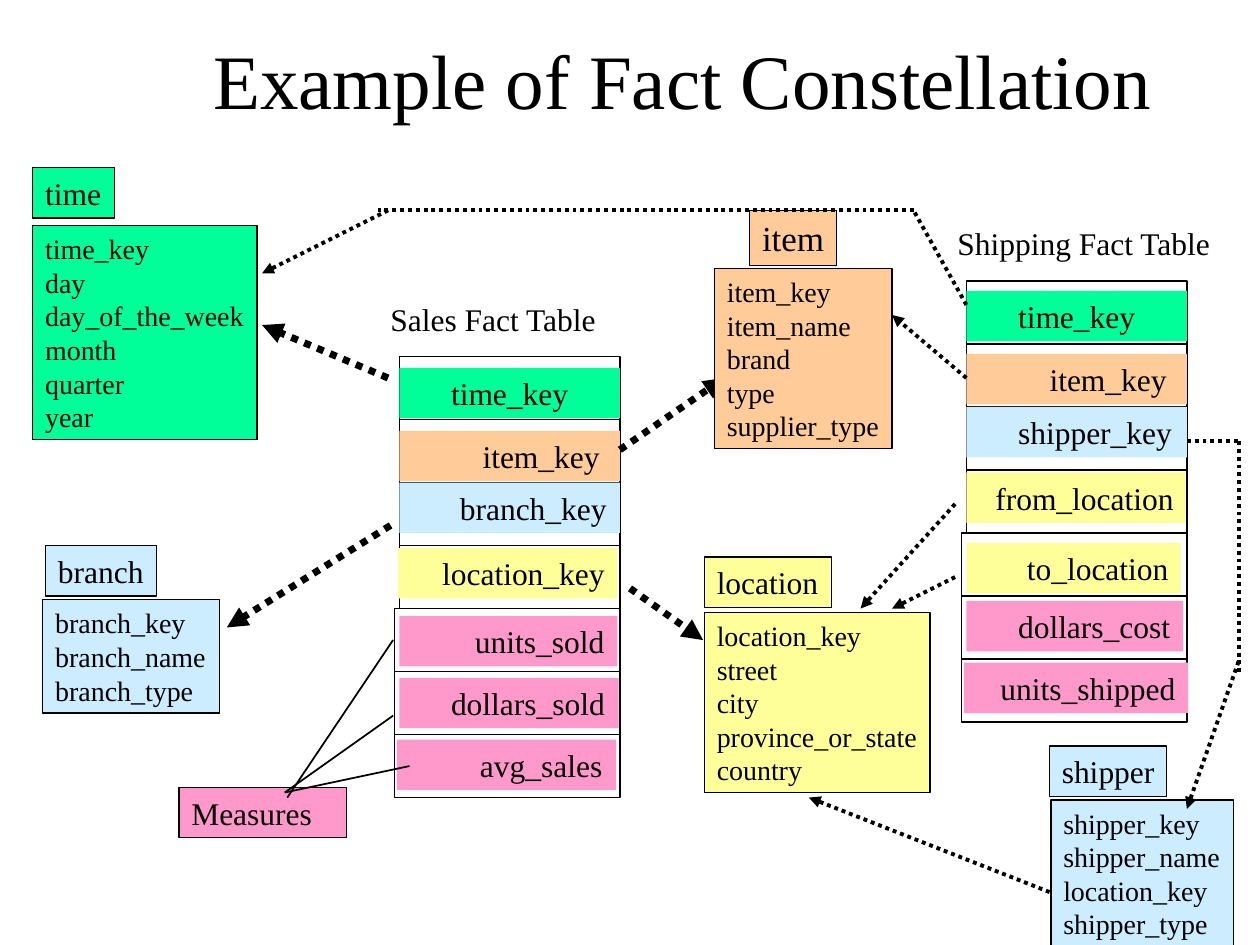
from dataclasses import dataclass
from typing import NamedTuple

from lxml.etree import SubElement
from pptx import Presentation
from pptx.dml.color import RGBColor
from pptx.enum.dml import MSO_LINE
from pptx.enum.shapes import MSO_CONNECTOR, MSO_SHAPE
from pptx.enum.text import MSO_ANCHOR, MSO_AUTO_SIZE, PP_ALIGN
from pptx.oxml.ns import qn
from pptx.util import Inches, Pt


@dataclass(frozen=True)
class Theme:
    font: str = "Times New Roman"
    ink: str = "000000"
    green: str = "00FF99"
    orange: str = "FFCC99"
    blue: str = "CCECFF"
    yellow: str = "FFFF99"
    pink: str = "FF99CC"
    title: float = 44
    item: float = 20
    label: float = 18
    field: float = 16
    outline: float = 0.75
    frame: float = 1
    shipping: float = 2.25
    sales: float = 4


THEME = Theme()


class Area(NamedTuple):
    left: float
    top: float
    width: float
    height: float = 0.4


class Entity(NamedTuple):
    name: str
    color: str
    label: Area
    body: Area
    fields: list[str]
    align: PP_ALIGN = PP_ALIGN.LEFT
    size: float = THEME.label


class Row(NamedTuple):
    text: str
    color: str
    area: Area
    indent: float = 0


class FactTable(NamedTuple):
    name: str
    heading: Area
    left: float
    top: float
    narrow_rows: int
    rows: list[Row]


class Link(NamedTuple):
    start: tuple[float, float]
    end: tuple[float, float]
    weight: float
    dotted: bool = True
    arrow: bool = True


TIME = Entity("time", THEME.green, Area(0.26, 1.33, 0.65), Area(0.26, 1.79, 1.78, 1.7),
              ["time_key", "day", "day_of_the_week", "month", "quarter", "year"])
LOCATION = Entity("location", THEME.yellow, Area(5.59, 4.42, 1.01), Area(5.59, 4.86, 1.79, 1.43),
                  ["location_key", "street", "city", "province_or_state", "country"])
ITEM = Entity("item", THEME.orange, Area(5.95, 1.67, 0.69, 0.44), Area(5.67, 2.13, 1.41, 1.43),
              ["item_key", "item_name", "brand", "type", "supplier_type"],
              PP_ALIGN.CENTER, THEME.item)
BRANCH = Entity("branch", THEME.blue, Area(0.36, 4.33, 0.88), Area(0.34, 4.76, 1.4, 0.9),
                ["branch_key", "branch_name", "branch_type"], PP_ALIGN.CENTER)
SHIPPER = Entity("shipper", THEME.blue, Area(8.33, 5.92, 0.93), Area(8.34, 6.35, 1.45, 1.17),
                 ["shipper_key", "shipper_name", "location_key", "shipper_type"], PP_ALIGN.CENTER)

SALES = FactTable("Sales Fact Table", Area(3, 2.33, 1.85), 3.17, 2.83, 4, [
    Row("time_key", THEME.green, Area(3.17, 2.92, 1.75)),
    Row("item_key", THEME.orange, Area(3.17, 3.42, 1.75), 0.56),
    Row("branch_key", THEME.blue, Area(3.17, 3.83, 1.75), 0.38),
    Row("location_key", THEME.yellow, Area(3.16, 4.35, 1.74), 0.25),
    Row("units_sold", THEME.pink, Area(3.17, 4.89, 1.73), 0.5),
    Row("dollars_sold", THEME.pink, Area(3.17, 5.38, 1.74), 0.31),
    Row("avg_sales", THEME.pink, Area(3.15, 5.87, 1.74), 0.56),
])
SHIPPING = FactTable("Shipping Fact Table", Area(7.5, 1.73, 2.23), 7.67, 2.23, 4, [
    Row("time_key", THEME.green, Area(7.67, 2.31, 1.75)),
    Row("item_key", THEME.orange, Area(7.67, 2.81, 1.75), 0.56),
    Row("shipper_key", THEME.blue, Area(7.67, 3.23, 1.75), 0.31),
    Row("from_location", THEME.yellow, Area(7.67, 3.75, 1.74), 0.13),
    Row("to_location", THEME.yellow, Area(7.67, 4.31, 1.7), 0.38),
    Row("dollars_cost", THEME.pink, Area(7.67, 4.77, 1.72), 0.31),
    Row("units_shipped", THEME.pink, Area(7.65, 5.26, 1.78), 0.19),
])

MEASURE_LINKS = [
    Link(start, end, THEME.frame, dotted=False, arrow=False)
    for start, end in [((2.28, 6.33), (3.12, 5.08)), ((2.26, 6.29), (3.12, 5.68)),
                       ((2.26, 6.29), (3.25, 6.08))]
]
SALES_LINKS = [
    Link(start, end, THEME.sales)
    for start, end in [((3.1, 4.17), (1.8, 4.98)), ((3.08, 3), (2.08, 2.58)),
                       ((5, 4.67), (5.58, 5.08)), ((4.92, 3.57), (5.75, 3))]
]
SHIPPING_LINKS = [
    Link(start, end, THEME.shipping, arrow=arrow)
    for start, end, arrow in [
        ((7.67, 2.42), (7.25, 1.67), False), ((7.25, 1.67), (3, 1.67), False),
        ((3.08, 1.67), (2.08, 2.17), True), ((7.67, 3), (7.08, 2.5), True),
        ((7.58, 4), (6.83, 4.83), True), ((7.58, 4.58), (7.08, 4.83), True),
        ((9.83, 3.5), (9.83, 5.33), False), ((9.83, 5.25), (9.42, 6.42), True),
        ((9.42, 3.5), (9.83, 3.5), False), ((8.33, 7.08), (6.42, 6.33), True),
    ]
]


def write(text_frame, lines: list[str], size: float, align: PP_ALIGN) -> None:
    for index, line in enumerate(lines):
        para = text_frame.add_paragraph() if index else text_frame.paragraphs[0]
        para.alignment = align
        span = para.add_run()
        span.text = line
        span.font.name = THEME.font
        span.font.size = Pt(size)
        span.font.color.rgb = RGBColor.from_string(THEME.ink)


def add_box(shapes, area: Area, fill: str | None = None, outline: float = 0):
    box = shapes.add_shape(MSO_SHAPE.RECTANGLE, *map(Inches, area))
    box.shadow.inherit = False
    if fill:
        box.fill.solid()
        box.fill.fore_color.rgb = RGBColor.from_string(fill)
    else:
        box.fill.background()
    if outline:
        box.line.color.rgb = RGBColor.from_string(THEME.ink)
        box.line.width = Pt(outline)
    else:
        box.line.fill.background()
    return box


def set_text(box, lines: list[str], size: float = THEME.label, align: PP_ALIGN = PP_ALIGN.LEFT,
             wrap: bool = False, indent: float = 0) -> None:
    frame = box.text_frame
    frame.word_wrap = wrap
    frame.auto_size = MSO_AUTO_SIZE.SHAPE_TO_FIT_TEXT
    frame.vertical_anchor = MSO_ANCHOR.TOP
    side = 0.05 if align == PP_ALIGN.CENTER else 0.1
    frame.margin_left = Inches(side + indent)
    frame.margin_right = Inches(0 if indent else side)
    write(frame, lines, size, align)


def add_entity(page, entity: Entity) -> None:
    shapes = page.shapes.add_group_shape().shapes
    body = add_box(shapes, entity.body, entity.color, THEME.outline)
    set_text(body, entity.fields, THEME.field)
    label = add_box(shapes, entity.label, entity.color, THEME.outline)
    set_text(label, [entity.name], entity.size, entity.align)


def add_fact_table(page, table: FactTable) -> None:
    heading = page.shapes.add_textbox(*map(Inches, table.heading))
    set_text(heading, [table.name])
    for index, row in enumerate(table.rows):
        widening = 0 if index < table.narrow_rows else 0.04
        frame = Area(table.left - widening, table.top + 0.5 * index, 1.75 + widening, 0.5)
        add_box(page.shapes, frame, outline=THEME.frame)
        align = PP_ALIGN.LEFT if row.indent else PP_ALIGN.CENTER
        set_text(add_box(page.shapes, row.area, row.color), [row.text], align=align,
                 wrap=True, indent=row.indent)


def add_links(page, links: list[Link]) -> None:
    for link in links:
        connector = page.shapes.add_connector(
            MSO_CONNECTOR.STRAIGHT, *map(Inches, link.start + link.end))
        connector.line.color.rgb = RGBColor.from_string(THEME.ink)
        connector.line.width = Pt(link.weight)
        if link.dotted:
            connector.line.dash_style = MSO_LINE.ROUND_DOT
        properties = connector.element.spPr
        if link.arrow:
            SubElement(properties.find(qn("a:ln")), qn("a:tailEnd"), type="triangle")
        SubElement(properties, qn("a:effectLst"))


def main() -> None:
    deck = Presentation()
    deck.slide_width, deck.slide_height = Inches(10), Inches(7.5)
    page = deck.slides.add_slide(deck.slide_layouts[5])
    title = page.shapes.title
    title.left, title.top, title.width, title.height = map(Inches, Area(1.5, 0, 7.84, 1.25))
    title.text_frame.vertical_anchor = MSO_ANCHOR.MIDDLE
    write(title.text_frame, ["Example of Fact Constellation"], THEME.title, PP_ALIGN.CENTER)

    for entity in (TIME, LOCATION, BRANCH):
        add_entity(page, entity)
    add_fact_table(page, SALES)
    measures = add_box(page.shapes, Area(1.42, 6.25, 1.33), THEME.pink, THEME.outline)
    set_text(measures, ["Measures"], wrap=True)
    add_links(page, MEASURE_LINKS + SALES_LINKS)
    add_entity(page, ITEM)
    add_fact_table(page, SHIPPING)
    add_entity(page, SHIPPER)
    add_links(page, SHIPPING_LINKS)
    deck.save("out.pptx")


if __name__ == "__main__":
    main()
